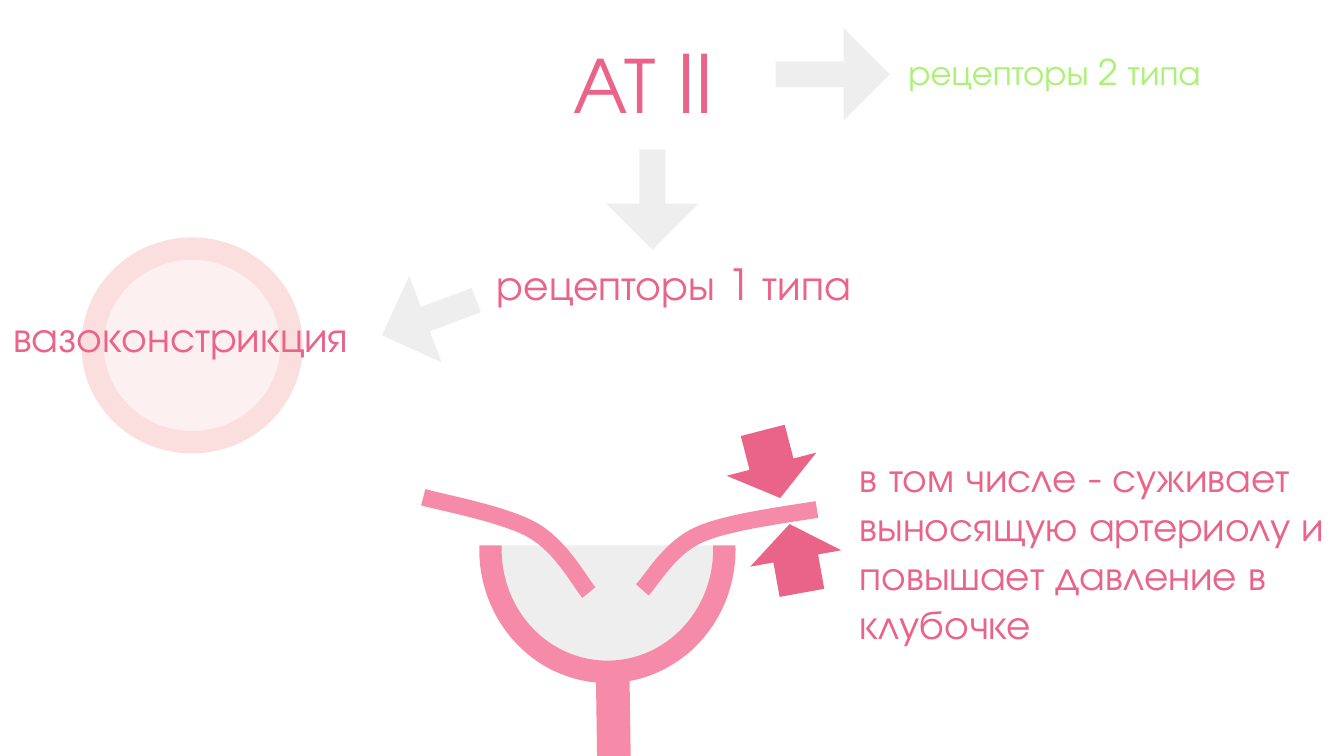
from lxml import etree
from pptx import Presentation
from pptx.dml.color import RGBColor
from pptx.enum.shapes import MSO_CONNECTOR as Connector, MSO_SHAPE as Shape
from pptx.enum.text import MSO_ANCHOR as Anchor, MSO_AUTO_SIZE as AutoSize, PP_ALIGN as Align
from pptx.oxml.ns import qn
from pptx.util import Cm, Pt

FONT = "TeX Gyre Adventor"
COLORS = {
    "accent": "EA6389",
    "vessel": "F58BA9",
    "arrow": "EEEEEE",
    "green": "ABF176",
    "ring": "FBDEDE",
    "lumen": "F3A6A6",
    "paper": "FFFFFF",
}
FRAME_FORMAT = {
    "word_wrap": True,
    "auto_size": AutoSize.NONE,
    "margin_left": Cm(0.25),
    "margin_right": Cm(0.25),
    "margin_top": Cm(0.25),
    "margin_bottom": Cm(0.25),
}
CURVE_STEPS = 16


def color(name):
    return RGBColor.from_string(COLORS[name])


def apply_format(target, values):
    for attribute, value in values.items():
        setattr(target, attribute, value)


def write_text(box, text, size, ink="accent", anchor=Anchor.MIDDLE, spacing=1.15):
    frame = box.text_frame
    frame.text = text
    apply_format(frame, {**FRAME_FORMAT, "vertical_anchor": anchor})
    paragraph = frame.paragraphs[0]
    apply_format(paragraph, {"alignment": Align.LEFT, "line_spacing": spacing})
    apply_format(paragraph.font, {"name": FONT, "size": Pt(size), "bold": False})
    paragraph.font.color.rgb = color(ink)


def add_label(slide, text, bounds, size, ink="accent"):
    write_text(slide.shapes.add_textbox(*map(Cm, bounds)), text, size, ink)


def set_outline(element, ink, width):
    element.line.color.rgb = color(ink)
    element.line.width = Pt(width)


def add_figure(slide, preset, bounds, fill, outline=None, width=0):
    figure = slide.shapes.add_shape(preset, *map(Cm, bounds))
    figure.shadow.inherit = False
    figure.fill.solid()
    figure.fill.fore_color.rgb = color(fill)
    if outline:
        set_outline(figure, outline, width)
    else:
        figure.line.fill.background()
    return figure


def set_opacity(figure, percent):
    tint = figure.fill._xPr.find(qn("a:solidFill"))[0]
    etree.SubElement(tint, qn("a:alpha")).set("val", str(percent * 1000))


def add_arrow(slide, bounds, rotation=0, fill="arrow", shaft=0.28):
    arrow = add_figure(slide, Shape.RIGHT_ARROW, bounds, fill)
    arrow.rotation = rotation
    arrow.adjustments[0] = shaft
    arrow.adjustments[1] = 0.5


def bezier_point(controls, t):
    weights = ((1 - t) ** 3, 3 * t * (1 - t) ** 2, 3 * t**2 * (1 - t), t**3)
    return tuple(
        Cm(sum(weight * point[axis] for weight, point in zip(weights, controls)))
        for axis in (0, 1)
    )


def add_arteriole(slide, controls):
    points = [
        bezier_point(controls[start:start + 4], step / CURVE_STEPS)
        for start in range(0, len(controls) - 1, 3)
        for step in range(1, CURVE_STEPS + 1)
    ]
    builder = slide.shapes.build_freeform(*map(Cm, controls[0]))
    builder.add_line_segments(points, close=False)
    arteriole = builder.convert_to_shape()
    arteriole.shadow.inherit = False
    arteriole.fill.background()
    set_outline(arteriole, "vessel", 9)


def add_tubule(slide, start, end):
    tubule = slide.shapes.add_connector(
        Connector.STRAIGHT, *map(Cm, start), *map(Cm, end)
    )
    set_outline(tubule, "vessel", 18)
    etree.SubElement(tubule._element.spPr, qn("a:effectLst"))


def place_title(slide, text, bounds):
    title = slide.shapes.title
    apply_format(title, dict(zip(("left", "top", "width", "height"), map(Cm, bounds))))
    write_text(title, text, 22, anchor=Anchor.BOTTOM, spacing=1.0)


def add_receptors(slide):
    add_label(slide, "АТ II", (10.59, 0, 4.22, 2.79), 43)
    add_arrow(slide, (14.66, 0.53, 2.16, 1.75))
    add_arrow(slide, (11.38, 2.9, 1.9, 1.75), 90)
    add_label(slide, "рецепторы 1 типа", (9.14, 4.32, 8.13, 1.93), 23)
    add_label(slide, "рецепторы 2 типа", (16.92, 0.33, 8.13, 1.93), 19, "green")


def add_vasoconstriction(slide):
    add_arrow(slide, (7.16, 5.13, 1.9, 1.75), 159.6)
    vessel = add_figure(slide, Shape.OVAL, (1.75, 4.7, 3.76, 3.66), "lumen", "ring", 12)
    set_opacity(vessel, 16)
    add_label(slide, "вазоконстрикция", (0, 5.31, 8.13, 1.93), 23)


def add_glomerulus(slide):
    add_figure(slide, Shape.OVAL, (9.27, 8.08, 4.42, 4.62), "arrow", "vessel", 12)
    add_figure(slide, Shape.RECTANGLE, (7.87, 7.77, 8.13, 2.54), "paper")
    afferent = [(8, 9.4), (8.36, 9.5), (9.58, 9.73), (10.08, 10.03),
                (10.62, 10.34), (10.97, 11.02), (11.13, 11.2)]
    efferent = [(15.44, 9.63), (15.06, 9.7), (13.74, 9.86), (13.21, 10.11),
                (12.65, 10.36), (12.32, 10.97), (12.14, 11.15)]
    for controls in (afferent, efferent):
        add_arteriole(slide, controls)
    add_tubule(slide, (11.58, 12.8), (11.61, 14.91))
    for left, top, rotation in ((13.92, 7.9, 75.5), (14.38, 9.68, 259.8)):
        add_arrow(slide, (left, top, 1.32, 1.75), rotation, "accent", 0.49)


def main():
    deck = Presentation()
    apply_format(deck, {"slide_width": Cm(25.4), "slide_height": Cm(14.29)})
    slide = deck.slides.add_slide(deck.slide_layouts[5])
    place_title(
        slide,
        "в том числе - суживает выносящую артериолу и повышает давление в клубочке",
        (16, 7.37, 9.47, 5.13),
    )
    add_receptors(slide)
    add_vasoconstriction(slide)
    add_glomerulus(slide)
    deck.save("out.pptx")


if __name__ == "__main__":
    main()
